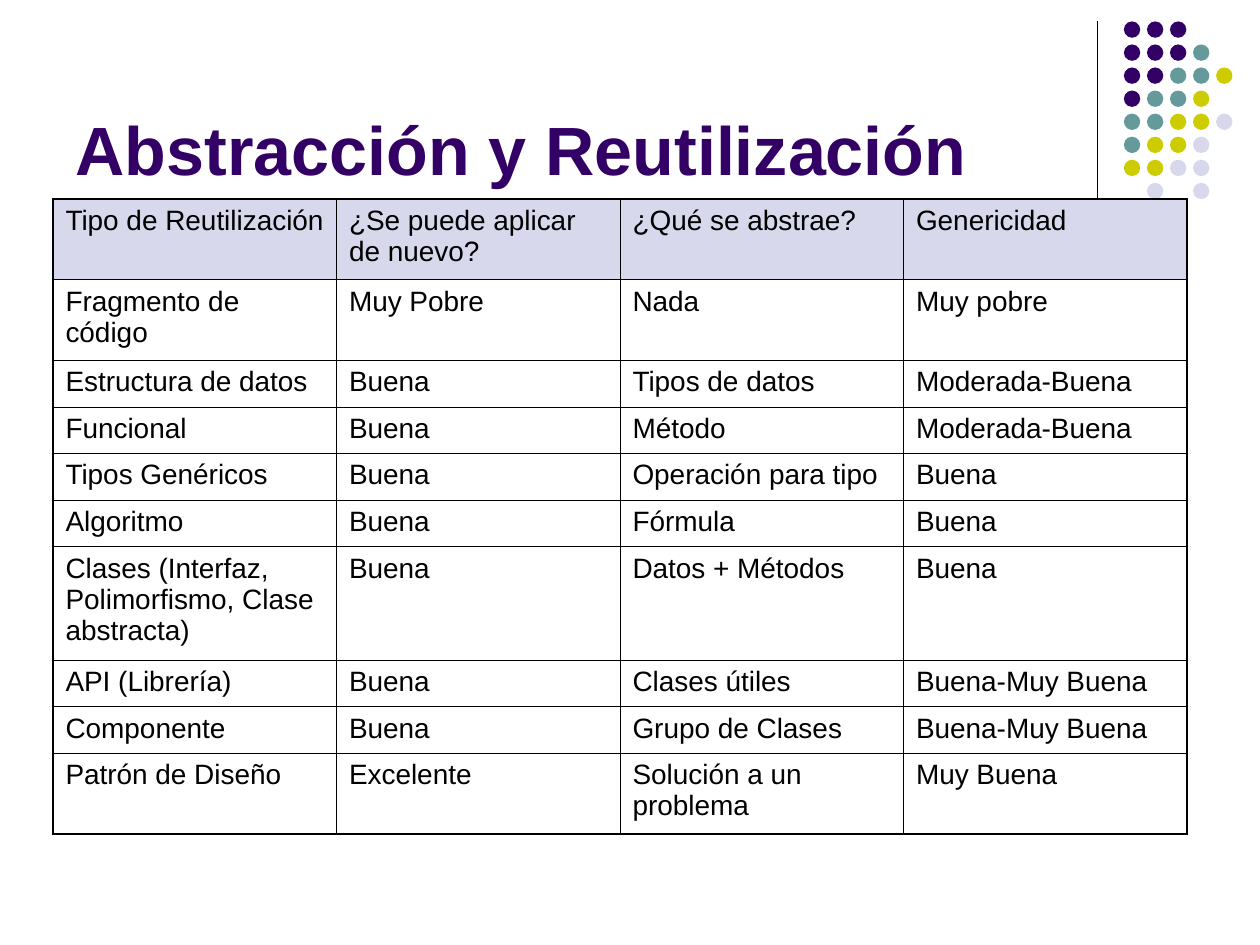
"""Build the slide on abstraction and reuse with its comparison table."""
from lxml import etree
from pptx import Presentation, util as u
from pptx.dml import color
from pptx.enum import shapes, text
from pptx.oxml import ns

DOT_ROWS = ["PPP", "PPPT", "PPTTY", "PTTY", "TTYYL", "TYYL", "YYLL", " L L"]
DOT_COLORS = {"P": "330066", "T": "669999", "Y": "CCCC00", "L": "D8D8EC"}
REUSE_ROWS = [
    ("Tipo de Reutilización", "¿Se puede aplicar de nuevo?", "¿Qué se abstrae?", "Genericidad"),
    ("Fragmento de código", "Muy Pobre", "Nada", "Muy pobre"),
    ("Estructura de datos", "Buena", "Tipos de datos", "Moderada-Buena"),
    ("Funcional", "Buena", "Método", "Moderada-Buena"),
    ("Tipos Genéricos", "Buena", "Operación para tipo", "Buena"),
    ("Algoritmo", "Buena", "Fórmula", "Buena"),
    ("Clases (Interfaz, Polimorfismo, Clase abstracta)", "Buena", "Datos + Métodos", "Buena"),
    ("API (Librería)", "Buena", "Clases útiles", "Buena-Muy Buena"),
    ("Componente", "Buena", "Grupo de Clases", "Buena-Muy Buena"),
    ("Patrón de Diseño", "Excelente", "Solución a un problema", "Muy Buena"),
]
ROW_HEIGHTS = [0.64, 0.64, 0.37, 0.37, 0.37, 0.37, 0.9, 0.37, 0.37, 0.64]


def rgb(value):
    return color.RGBColor.from_string(value)


class SlideBuilder:
    """Hold the style and the current slide."""

    font = "Arial"
    ink = "000000"
    accent = "330066"
    header_fill = "D8D8EC"
    outer_width, inner_width = 1.08, 0.45

    def __init__(self, slide):
        self.slide = slide

    def style(self, paragraph, size, value, bold=False):
        for run in paragraph.runs:
            run.font.name = self.font
            run.font.size = u.Pt(size)
            run.font.bold = bold
            run.font.color.rgb = rgb(value)

    def title(self, wording, left, top, width, height):
        heading = self.slide.shapes.title
        heading.left, heading.top = u.Inches(left), u.Inches(top)
        heading.width, heading.height = u.Inches(width), u.Inches(height)
        frame = heading.text_frame
        frame.text = wording
        frame.word_wrap = True
        frame.auto_size = text.MSO_AUTO_SIZE.NONE
        frame.vertical_anchor = text.MSO_ANCHOR.BOTTOM
        frame.paragraphs[0].alignment = text.PP_ALIGN.LEFT
        self.style(frame.paragraphs[0], 39, self.accent, bold=True)

    def rule(self, x, top, bottom):
        divider = self.slide.shapes.add_connector(
            shapes.MSO_CONNECTOR.STRAIGHT,
            u.Inches(x), u.Inches(top), u.Inches(x), u.Inches(bottom))
        divider.line.color.rgb = rgb(self.ink)
        divider.line.width = u.Pt(0.75)
        etree.SubElement(divider._element.spPr, ns.qn("a:effectLst"))

    def dots(self, left, top, pitch, size):
        cluster = self.slide.shapes.add_group_shape()
        for row, pattern in enumerate(DOT_ROWS):
            for column, key in enumerate(pattern):
                if key == " ":
                    continue
                dot = cluster.shapes.add_shape(
                    shapes.MSO_SHAPE.OVAL,
                    u.Inches(left + column * pitch), u.Inches(top + row * pitch),
                    u.Inches(size), u.Inches(size))
                dot.shadow.inherit = False
                dot.fill.solid()
                dot.fill.fore_color.rgb = rgb(DOT_COLORS[key])
                dot.line.fill.background()

    def borders(self, cell, outer_sides):
        properties = cell._tc.get_or_add_tcPr()
        for side in "LRTB":
            width = self.outer_width if side in outer_sides else self.inner_width
            edge = etree.SubElement(properties, ns.qn(f"a:ln{side}"), w=str(u.Pt(width)))
            fill = etree.SubElement(edge, ns.qn("a:solidFill"))
            etree.SubElement(fill, ns.qn("a:srgbClr"), val=self.ink)

    def cell(self, cell, wording, outer_sides):
        cell.text_frame.text = wording
        cell.margin_left, cell.margin_right = u.Inches(0.1), u.Inches(0.09)
        cell.margin_top = cell.margin_bottom = u.Inches(0.05)
        paragraph = cell.text_frame.paragraphs[0]
        paragraph.space_before = u.Pt(4)
        self.style(paragraph, 16, self.ink)
        self.borders(cell, outer_sides)
        if "T" in outer_sides:
            cell.fill.solid()
            cell.fill.fore_color.rgb = rgb(self.header_fill)
        else:
            cell.fill.background()

    def table(self, rows, heights, left, top, column_width):
        last_row, last_column = len(rows) - 1, len(rows[0]) - 1
        grid = self.slide.shapes.add_table(
            len(rows), len(rows[0]), u.Inches(left), u.Inches(top),
            u.Inches(column_width * len(rows[0])), u.Inches(sum(heights))).table
        grid.horz_banding = False
        for column in grid.columns:
            column.width = u.Inches(column_width)
        for r, (wordings, height) in enumerate(zip(rows, heights)):
            grid.rows[r].height = u.Inches(height)
            for c, wording in enumerate(wordings):
                edges = {"L": c == 0, "R": c == last_column, "T": r == 0, "B": r == last_row}
                self.cell(grid.cell(r, c), wording, [s for s, outer in edges.items() if outer])


def main():
    deck = Presentation()
    deck.slide_width, deck.slide_height = u.Inches(10), u.Inches(7.5)
    builder = SlideBuilder(deck.slides.add_slide(deck.slide_layouts[5]))
    builder.rule(8.71, 0.17, 1.83)
    builder.dots(8.92, 0.17, 0.183, 0.13)
    builder.title("Abstracción y Reutilización", 0.5, 0.13, 8.25, 1.42)
    builder.table(REUSE_ROWS, ROW_HEIGHTS, 0.42, 1.58, 2.25)
    deck.save("out.pptx")


if __name__ == "__main__":
    main()
